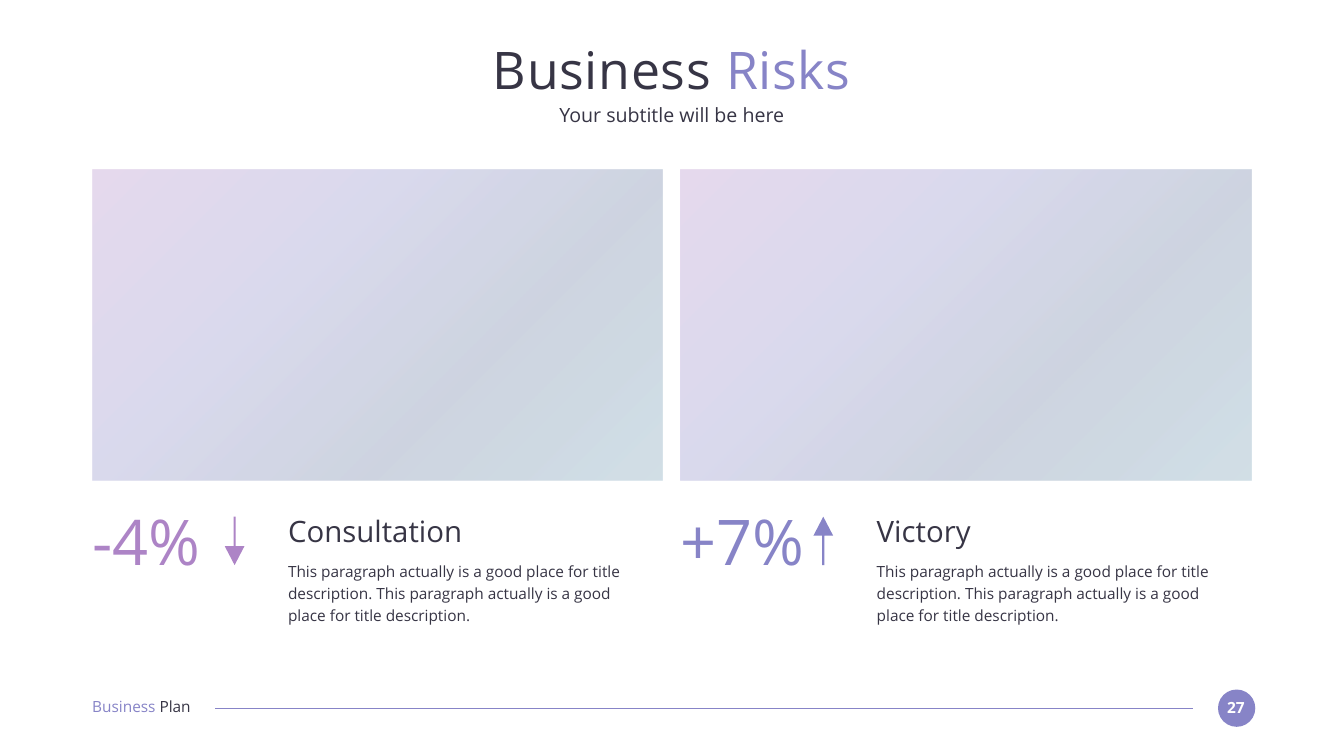
import pptx
import pptx.dml.color
import pptx.enum.shapes
import pptx.enum.text
import pptx.oxml
import pptx.oxml.ns
import pptx.util
from pptx.util import Cm

SHAPE = pptx.enum.shapes.MSO_SHAPE
ALIGN = pptx.enum.text.PP_ALIGN
ANCHOR = pptx.enum.text.MSO_ANCHOR
AUTO = pptx.enum.text.MSO_AUTO_SIZE

FONT = "Open Sans"
COLORS = {"dark": "373545", "violet": "8784C7", "mauve": "AD84C6",
          "slate": "5D739A", "teal": "6997AF", "white": "FFFFFF"}

TITLE = [("Business ", "dark"), ("Risks", "violet")]
SUBTITLE = [("Your subtitle will be here", "dark")]
FOOTER = [("Business ", "violet"), ("Plan", "dark")]
PAGE = [("27", "white")]
DESCRIPTION = ("This paragraph actually is a good place for title description. "
               "This paragraph actually is a good place for title description.")
# change, heading, description, colour, arrow rotation
RISKS = [("-4%", "Consultation", DESCRIPTION, "mauve", 0),
         ("+7%", "Victory", DESCRIPTION, "violet", 180)]
GRADIENT = [(0, "mauve"), (33, "violet"), (66, "slate"), (100, "teal")]
OPACITY = 30

# Lengths in cm
WIDTH, HEIGHT = 67.74, 38.1
MARGIN, CONTENT_W = 4.65, 58.42
COLUMN_W = 28.75
COLUMN_STEP = CONTENT_W - COLUMN_W
FOOTER_Y = 35.69
BADGE = 1.88


def rgb(name):
    return pptx.dml.color.RGBColor.from_string(COLORS[name])


def write(sp, parts, size, align=ALIGN.LEFT, bold=False):
    """Fill a shape with one paragraph of (text, colour) runs."""
    tf = sp.text_frame
    tf.word_wrap = True
    tf.margin_left = tf.margin_top = tf.margin_right = tf.margin_bottom = 0
    p = tf.paragraphs[0]
    p.alignment = align
    for text, color in parts:
        r = p.add_run()
        r.text = text
        r.font.name = FONT
        r.font.size = pptx.util.Pt(size)
        r.font.bold = bold
        r.font.color.rgb = rgb(color)
    return p


def place(sp, x, y, w, h):
    sp.left, sp.top, sp.width, sp.height = Cm(x), Cm(y), Cm(w), Cm(h)


def add_text(s, x, y, w, h, parts, size, **style):
    sp = s.shapes.add_textbox(Cm(x), Cm(y), Cm(w), Cm(h))
    p = write(sp, parts, size, **style)
    sp.text_frame.auto_size = AUTO.SHAPE_TO_FIT_TEXT
    return p


def add_shape(s, kind, x, y, w, h, color):
    sp = s.shapes.add_shape(kind, Cm(x), Cm(y), Cm(w), Cm(h))
    sp.shadow.inherit = False
    sp.fill.solid()
    sp.fill.fore_color.rgb = rgb(color)
    sp.line.fill.background()
    return sp


def set_gradient(sp):
    """Swap the solid fill for the translucent diagonal gradient."""
    stops = "".join(
        f'<a:gs pos="{pos * 1000}"><a:srgbClr val="{COLORS[color]}">'
        f'<a:alpha val="{OPACITY * 1000}"/></a:srgbClr></a:gs>'
        for pos, color in GRADIENT)
    grad = pptx.oxml.parse_xml(
        f'<a:gradFill {pptx.oxml.ns.nsdecls("a")} rotWithShape="1">'
        f'<a:gsLst>{stops}</a:gsLst><a:lin ang="2700000" scaled="0"/></a:gradFill>')
    solid = sp.fill._xPr.find(pptx.oxml.ns.qn("a:solidFill"))
    solid.getparent().replace(solid, grad)


def add_header(s):
    title, body = s.shapes.title, s.placeholders[1]
    place(title, MARGIN, 1.85, CONTENT_W, 3.23)
    place(body, MARGIN, 5.16, CONTENT_W, 1.24)
    p = write(title, TITLE, 74, align=ALIGN.CENTER)
    for r in p.runs:
        r.font._element.set("spc", "100")
    p = write(body, SUBTITLE, 28, align=ALIGN.CENTER)
    pPr = p._p.get_or_add_pPr()
    pPr.set("marL", "0")
    pPr.set("indent", "0")
    pPr.append(pptx.oxml.parse_xml(f'<a:buNone {pptx.oxml.ns.nsdecls("a")}/>'))
    for sp in (title, body):
        sp.text_frame.auto_size = AUTO.NONE
        sp.text_frame.vertical_anchor = ANCHOR.MIDDLE


def add_footer(s):
    add_shape(s, SHAPE.OVAL, 61.39, FOOTER_Y - BADGE / 2, BADGE, BADGE, "violet")
    add_text(s, 61.54, 35.18, 1.5, 0.94, PAGE, 22, align=ALIGN.CENTER, bold=True)
    line = s.shapes.add_connector(pptx.enum.shapes.MSO_CONNECTOR.STRAIGHT,
                                  Cm(60.12), Cm(FOOTER_Y), Cm(10.85), Cm(FOOTER_Y))
    line.line.color.rgb = rgb("violet")
    line.line.width = pptx.util.Pt(1.5)
    line._element.spPr.append(
        pptx.oxml.parse_xml(f'<a:effectLst {pptx.oxml.ns.nsdecls("a")}/>'))
    add_text(s, MARGIN, 35.15, 6.58, 0.94, FOOTER, 22)


def add_risk(s, x, change, heading, description, color, rotation):
    panel = add_shape(s, SHAPE.RECTANGLE, x, 8.53, COLUMN_W, 15.7, color)
    set_gradient(panel)
    add_text(s, x, 25.35, 6.48, 3.84, [(change, color)], 90)
    arrow = add_shape(s, SHAPE.DOWN_ARROW, x + 6.68, 26.04, 0.99, 2.44, color)
    arrow.adjustments[0], arrow.adjustments[1] = 0.11, 0.96
    arrow.rotation = rotation
    add_text(s, x + 9.87, 25.88, 17.58, 1.8, [(heading, "dark")], 42)
    p = add_text(s, x + 9.87, 28.12, 17.58, 3.38, [(description, "dark")], 22)
    p.line_spacing = 1.2


def main():
    prs = pptx.Presentation()
    prs.slide_width, prs.slide_height = Cm(WIDTH), Cm(HEIGHT)
    s = prs.slides.add_slide(prs.slide_layouts[1])
    add_header(s)
    add_footer(s)
    for i, risk in enumerate(RISKS):
        add_risk(s, MARGIN + i * COLUMN_STEP, *risk)
    prs.save("out.pptx")


if __name__ == "__main__":
    main()
